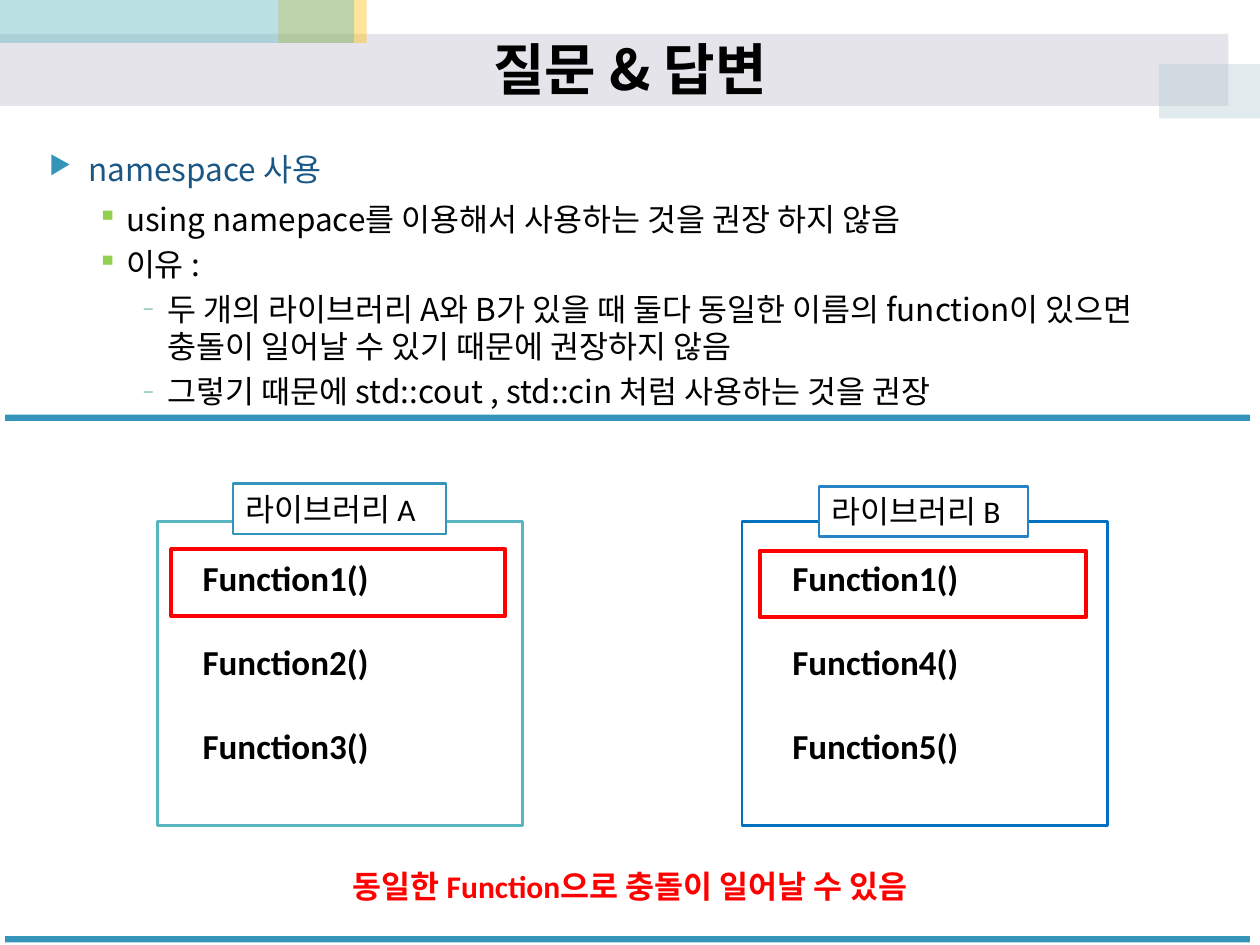
"""Build the namespace question-and-answer slide."""
from typing import NamedTuple, Optional

from lxml import etree
from pptx import Presentation
from pptx import util as u
from pptx.dml import color
from pptx.enum import shapes, text
from pptx.oxml import ns

HANGUL = "Noto Sans CJK KR"
LATIN = "Calibri"
SYMBOL = "OpenSymbol"
BLACK, WHITE, RED, TEAL = "000000", "FFFFFF", "FF0000", "3494BA"


class Area(NamedTuple):
    left: float
    top: float
    width: float
    height: float


class Band(NamedTuple):
    area: Area
    fill: str
    opacity: int


class Bullet(NamedTuple):
    mark: str
    face: str
    tint: str
    scale: int
    margin: float
    hang: float
    before: int
    after: int
    ink: str


class Library(NamedTuple):
    frame: Area
    edge: str
    label: str
    label_area: Area
    label_edge: str
    functions: list[str]
    functions_area: Area
    clash: Area


BANDS = [
    Band(Area(0, 0.27, 9.75, 0.57), "AAA7BC", 30),
    Band(Area(2.21, -0.01, 0.7, 0.35), "FFC000", 40),
    Band(Area(-0.01, -0.01, 2.82, 0.35), "58B6C0", 40),
    Band(Area(9.2, 0.51, 0.8, 0.43), "B5CDD3", 40),
]
BULLETS = [
    Bullet("▶", SYMBOL, TEAL, 80, 0.31, 0.31, 6, 3, "1A5784"),
    Bullet("▪", SYMBOL, "92D050", 90, 0.61, 0.23, 4, 0, BLACK),
    Bullet("−", HANGUL, "75BDA7", 60, 0.94, 0.19, 4, 0, BLACK),
]
POINTS = [
    (0, "namespace 사용"),
    (1, "using namepace를 이용해서 사용하는 것을 권장 하지 않음"),
    (1, "이유 :"),
    (2, "두 개의 라이브러리 A와 B가 있을 때 둘다 동일한 이름의 function이 있으면"
        "\v충돌이 일어날 수 있기 때문에 권장하지 않음"),
    (2, "그렇기 때문에 std::cout , std::cin 처럼 사용하는 것을 권장"),
]
LIBRARIES = [
    Library(Area(1.25, 4.14, 2.9, 2.41), "58B6C0",
            "라이브러리 A", Area(1.85, 3.84, 1.69, 0.4), TEAL,
            ["Function1()", "Function2()", "Function3()"],
            Area(1.51, 4.37, 1.52, 1.78), Area(1.36, 4.36, 2.65, 0.53)),
    Library(Area(5.89, 4.14, 2.9, 2.41), "0070C0",
            "라이브러리 B", Area(6.5, 3.86, 1.66, 0.4), "2683C6",
            ["Function1()", "Function4()", "Function5()"],
            Area(6.19, 4.37, 1.52, 1.78), Area(6.03, 4.37, 2.59, 0.53)),
]


def rgb(code: str) -> color.RGBColor:
    """Turn a hex string into a colour."""
    return color.RGBColor.from_string(code)


def inches(area: Area) -> list[u.Inches]:
    """Give the four lengths of an area."""
    return [u.Inches(length) for length in area]


def place(shape, area: Area) -> None:
    """Move and size a shape."""
    shape.left, shape.top, shape.width, shape.height = inches(area)


def paint(shape, fill: Optional[str], edge: Optional[str], weight: float = 1.5) -> None:
    """Set the fill and outline of a shape."""
    if fill:
        shape.fill.solid()
        shape.fill.fore_color.rgb = rgb(fill)
    else:
        shape.fill.background()
    if edge:
        shape.line.color.rgb = rgb(edge)
        shape.line.width = u.Pt(weight)
    else:
        shape.line.fill.background()


def add_rect(page, area: Area, fill: Optional[str] = None,
             edge: Optional[str] = None, weight: float = 1.5):
    """Draw a rectangle without shadow."""
    rect = page.shapes.add_shape(shapes.MSO_SHAPE.RECTANGLE, *inches(area))
    rect.shadow.inherit = False
    paint(rect, fill, edge, weight)
    return rect


def add_band(page, band: Band) -> None:
    """Draw a translucent header band."""
    rect = add_rect(page, band.area, band.fill)
    tint = rect.fill._xPr.find(".//" + ns.qn("a:srgbClr"))
    etree.SubElement(tint, ns.qn("a:alpha"), val=str(band.opacity * 1000))


def style(para, size: float, ink: str, bold: bool = False, face: str = LATIN) -> None:
    """Set the font of a paragraph."""
    font = para.font
    font.size, font.bold, font.name = u.Pt(size), bold, face
    font.color.rgb = rgb(ink)


def add_bullet(para, bullet: Bullet) -> None:
    """Give a paragraph its bullet, indent and spacing."""
    props = para._p.get_or_add_pPr()
    props.set("marL", str(u.Inches(bullet.margin)))
    props.set("indent", str(-u.Inches(bullet.hang)))
    tint = etree.SubElement(props, ns.qn("a:buClr"))
    etree.SubElement(tint, ns.qn("a:srgbClr"), val=bullet.tint)
    etree.SubElement(props, ns.qn("a:buSzPct"), val=str(bullet.scale * 1000))
    etree.SubElement(props, ns.qn("a:buFont"), typeface=bullet.face)
    etree.SubElement(props, ns.qn("a:buChar"), char=bullet.mark)
    para.line_spacing = 1.0
    para.space_before, para.space_after = u.Pt(bullet.before), u.Pt(bullet.after)


def fill_title(title) -> None:
    """Write the centred slide title."""
    place(title, Area(0.29, 0.26, 9.42, 0.56))
    frame = title.text_frame
    frame.text = "질문 & 답변"
    frame.auto_size = text.MSO_AUTO_SIZE.NONE
    frame.vertical_anchor = text.MSO_ANCHOR.MIDDLE
    frame.paragraphs[0].alignment = text.PP_ALIGN.CENTER
    style(frame.paragraphs[0], 32, BLACK, True, HANGUL)


def fill_body(body) -> None:
    """Write the bulleted points."""
    place(body, Area(0.29, 1.14, 9.46, 6.11))
    frame = body.text_frame
    frame.text = "\n".join(point for _, point in POINTS)
    frame.auto_size = text.MSO_AUTO_SIZE.NONE
    for para, (level, _) in zip(frame.paragraphs, POINTS):
        para.level = level
        add_bullet(para, BULLETS[level])
        style(para, 18, BULLETS[level].ink, face=HANGUL)


def add_text(page, area: Area, lines: list[str], size: float, ink: str,
             bold: bool = False, gap: float = 0):
    """Add an unwrapped text box with evenly spaced lines."""
    box = page.shapes.add_textbox(*inches(area))
    frame = box.text_frame
    frame.text = "\n".join(lines)
    frame.word_wrap = False
    for index, para in enumerate(frame.paragraphs):
        para.space_before = u.Pt(gap if index else 0)
        style(para, size, ink, bold)
    return box


def add_library(page, library: Library) -> None:
    """Draw a library with its label, functions and clash marker."""
    add_rect(page, library.frame, edge=library.edge)
    label = add_text(page, library.label_area, [library.label], 18, BLACK)
    paint(label, WHITE, library.label_edge)
    add_text(page, library.functions_area, library.functions, 20, BLACK, True, 24)
    add_rect(page, library.clash, edge=RED, weight=2.25)


def main() -> None:
    """Build and save the deck."""
    deck = Presentation()
    deck.slide_width, deck.slide_height = u.Inches(10), u.Inches(7.5)
    page = deck.slides.add_slide(deck.slide_layouts[1])
    for band in BANDS:
        add_band(page, band)
    title, body = page.placeholders
    for holder, fill_holder in ((title, fill_title), (body, fill_body)):
        fill_holder(holder)
        holder._element.getparent().append(holder._element)
    for top in (3.29, 7.43):
        add_rect(page, Area(0.04, top, 9.88, 0.05), TEAL)
    for library in LIBRARIES:
        add_library(page, library)
    add_text(page, Area(2.7, 6.83, 4.95, 0.4),
             ["동일한 Function으로 충돌이 일어날 수 있음"], 18, RED, True)
    deck.save("out.pptx")


if __name__ == "__main__":
    main()
